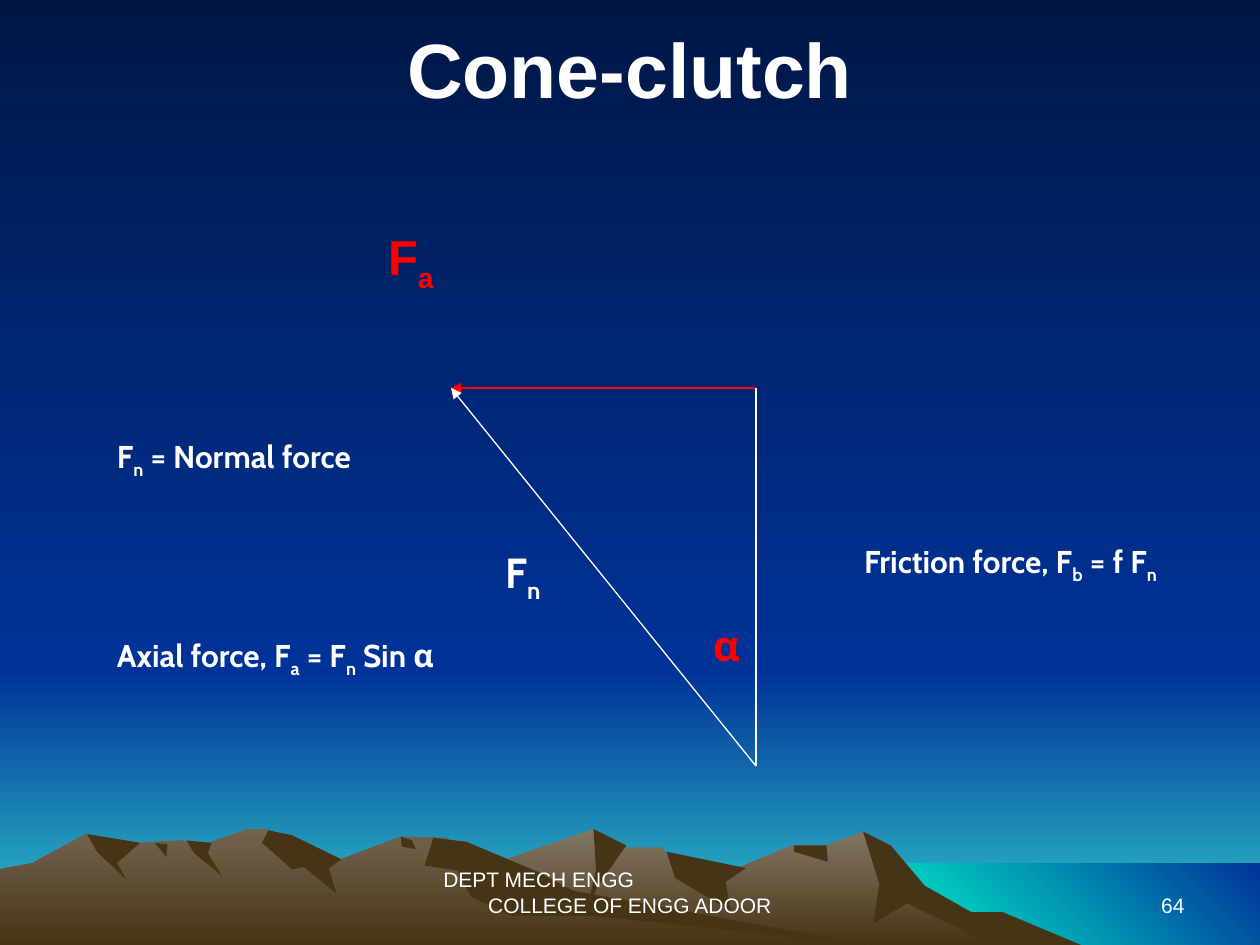
from lxml import etree
from pptx import Presentation, util as u
from pptx.dml.color import RGBColor
from pptx.enum import shapes, text
from pptx.oxml.ns import qn

NIGHT = RGBColor(0x00, 0x17, 0x46)
BLUE = RGBColor(0x00, 0x33, 0x99)
TURQUOISE = RGBColor(0x33, 0xCC, 0xCC)
AQUA = RGBColor(0x00, 0xFF, 0xCC)
SUNLIT = RGBColor(0x83, 0x77, 0x63)
SLOPE = RGBColor(0x72, 0x64, 0x4E)
SHADE = RGBColor(0x46, 0x34, 0x16)
WHITE = RGBColor(0xFF, 0xFF, 0xFF)
RED = RGBColor(0xFF, 0x00, 0x00)


def paint(part, colors, angle=270):
    part.shadow.inherit = False
    part.line.fill.background()
    if len(colors) == 1:
        part.fill.solid()
        part.fill.fore_color.rgb = colors[0]
        return
    part.fill.gradient()
    part.fill.gradient_angle = angle
    for position, (stop, color) in enumerate(zip(part.fill.gradient_stops, colors)):
        stop.color.rgb = color
        stop.position = position


def write(paragraph, wording, size, color, font="Arial", bold=True):
    for i, piece in enumerate(wording.split("|")):
        run = paragraph.add_run()
        run.text = piece
        run.font.size = u.Pt(size)
        run.font.name = font
        run.font.bold = bold
        run.font.color.rgb = color
        if i % 2:
            run.font._element.set("baseline", "-25000")


prs = Presentation()
prs.slide_width = u.Inches(10)
prs.slide_height = u.Inches(7.5)
slide = prs.slides.add_slide(prs.slide_layouts[1])
slide.background.fill.solid()
slide.background.fill.fore_color.rgb = BLUE

scenery_bands = [
    (0, 5.33, (BLUE, TURQUOISE), 270, 7.5),
    (0, 0, (NIGHT, BLUE), 270, 5.33),
    (6.83, 6.85, (BLUE, AQUA), 225, 7.5),
]
for left, top, colors, angle, bottom in scenery_bands:
    band = slide.shapes.add_shape(
        shapes.MSO_SHAPE.RECTANGLE,
        u.Inches(left), u.Inches(top), u.Inches(10 - left), u.Inches(bottom - top))
    paint(band, colors, angle)

mountains = [
    ((SUNLIT, SHADE), [
        (821, 750), (764, 723), (723, 698), (685, 660), (656, 671), (629, 671), (566, 697),
        (536, 690), (526, 673), (486, 673), (471, 658), (394, 685), (327, 709), (258, 750)]),
    ((SHADE,), [
        (685, 660), (707, 671), (734, 703), (771, 724), (796, 724), (858, 750), (788, 750),
        (720, 717), (693, 733), (698, 702)]),
    ((SHADE,), [(471, 658), (497, 671), (474, 704), (465, 727), (473, 690)]),
    ((SHADE,), [(529, 676), (592, 689), (576, 700), (580, 723), (536, 697)]),
    ((SHADE,), [(630, 671), (656, 671), (657, 684), (630, 676)]),
    ((SLOPE, SHADE), [
        (690, 750), (432, 712), (354, 665), (318, 664), (271, 682), (236, 681), (212, 658),
        (196, 658), (160, 671), (143, 667), (111, 669), (68, 662), (26, 685), (0, 690),
        (0, 750)]),
    ((SHADE,), [
        (213, 659), (232, 663), (271, 682), (261, 689), (267, 709), (241, 688), (232, 690),
        (208, 669)]),
    ((SHADE,), [
        (344, 665), (370, 668), (427, 692), (455, 707), (690, 750), (472, 727), (407, 727),
        (374, 712), (363, 691), (337, 687)]),
    ((SHADE,), [(318, 664), (327, 667), (330, 674), (319, 672)]),
    ((SHADE,), [(148, 667), (168, 669), (165, 677), (176, 695), (154, 677)]),
    ((SHADE,), [(123, 669), (133, 670), (132, 680)]),
    ((SHADE,), [(69, 662), (111, 669), (93, 685), (100, 698), (77, 676)]),
]
for colors, outline in mountains:
    builder = slide.shapes.build_freeform(*outline[0], scale=u.Inches(0.01))
    builder.add_line_segments(outline[1:], close=True)
    paint(builder.convert_to_shape(), colors)

footers = [
    (3.42, 3.16, ["DEPT MECH ENGG", "COLLEGE OF ENGG ADOOR"],
     [text.PP_ALIGN.LEFT, text.PP_ALIGN.CENTER]),
    (7.17, 2.33, ["64"], [text.PP_ALIGN.RIGHT]),
]
for left, width, lines, alignments in footers:
    footer = slide.shapes.add_textbox(
        u.Inches(left), u.Inches(6.83), u.Inches(width), u.Inches(0.5)).text_frame
    footer.word_wrap = True
    footer.vertical_anchor = text.MSO_ANCHOR.BOTTOM
    for i, (line, alignment) in enumerate(zip(lines, alignments)):
        paragraph = footer.add_paragraph() if i else footer.paragraphs[0]
        paragraph.alignment = alignment
        write(paragraph, line, 12, WHITE, bold=False)

title = slide.shapes.title
title.left, title.top = u.Inches(0.5), u.Inches(0.09)
title.width, title.height = u.Inches(9), u.Inches(1.57)
title.text_frame.vertical_anchor = text.MSO_ANCHOR.TOP
title.text_frame.margin_top = u.Inches(0.08)
title.text_frame.paragraphs[0].alignment = text.PP_ALIGN.CENTER
write(title.text_frame.paragraphs[0], "Cone-clutch", 44, WHITE)

axial = slide.placeholders[1]
axial.left, axial.top = u.Inches(0.5), u.Inches(1.75)
axial.width, axial.height = u.Inches(4.41), u.Inches(4.92)
axial_label = axial.text_frame.paragraphs[0]
axial_label.space_before = u.Pt(0)
axial_format = axial_label._p.get_or_add_pPr()
axial_format.set("marL", str(u.Inches(2.48)))
axial_format.set("indent", "0")
etree.SubElement(axial_format, qn("a:buNone"))
write(axial_label, "F|a", 28, RED)

for placeholder in (title, axial):
    placeholder.text_frame.auto_size = text.MSO_AUTO_SIZE.NONE
    slide.shapes.element.append(placeholder.element)

tip, corner, apex = (3.58, 3.08), (6, 3.08), (6, 6.08)
forces = [
    (tip, corner, RED, True),
    (corner, apex, WHITE, False),
    (tip, apex, WHITE, True),
]
for start, end, color, arrow in forces:
    force = slide.shapes.add_connector(
        shapes.MSO_CONNECTOR.STRAIGHT, *map(u.Inches, start + end))
    force.line.color.rgb = color
    force.line.width = u.Pt(0.75)
    if arrow:
        etree.SubElement(force.line._get_or_add_ln(), qn("a:headEnd"), type="triangle")
    etree.SubElement(force.element.spPr, qn("a:effectLst"))

formulas = [
    (3.91, 4.29, 0.52, 0.56, "F|n", 24, WHITE),
    (5.56, 4.87, 0.43, 0.5, "α", 24, RED),
    (0.83, 3.42, 2.27, 0.44, "F|n| = Normal force", 18, WHITE),
    (0.83, 5, 3.08, 0.44, "Axial force, F|a| = F|n| Sin α", 18, WHITE),
    (6.76, 4.25, 2.86, 0.44, "Friction force, F|b| = f F|n", 18, WHITE),
]
for left, top, width, height, wording, size, color in formulas:
    formula = slide.shapes.add_textbox(
        u.Inches(left), u.Inches(top), u.Inches(width), u.Inches(height)).text_frame
    formula.word_wrap = False
    formula.auto_size = text.MSO_AUTO_SIZE.SHAPE_TO_FIT_TEXT
    write(formula.paragraphs[0], wording, size, color, "Cabin")

prs.save("out.pptx")
